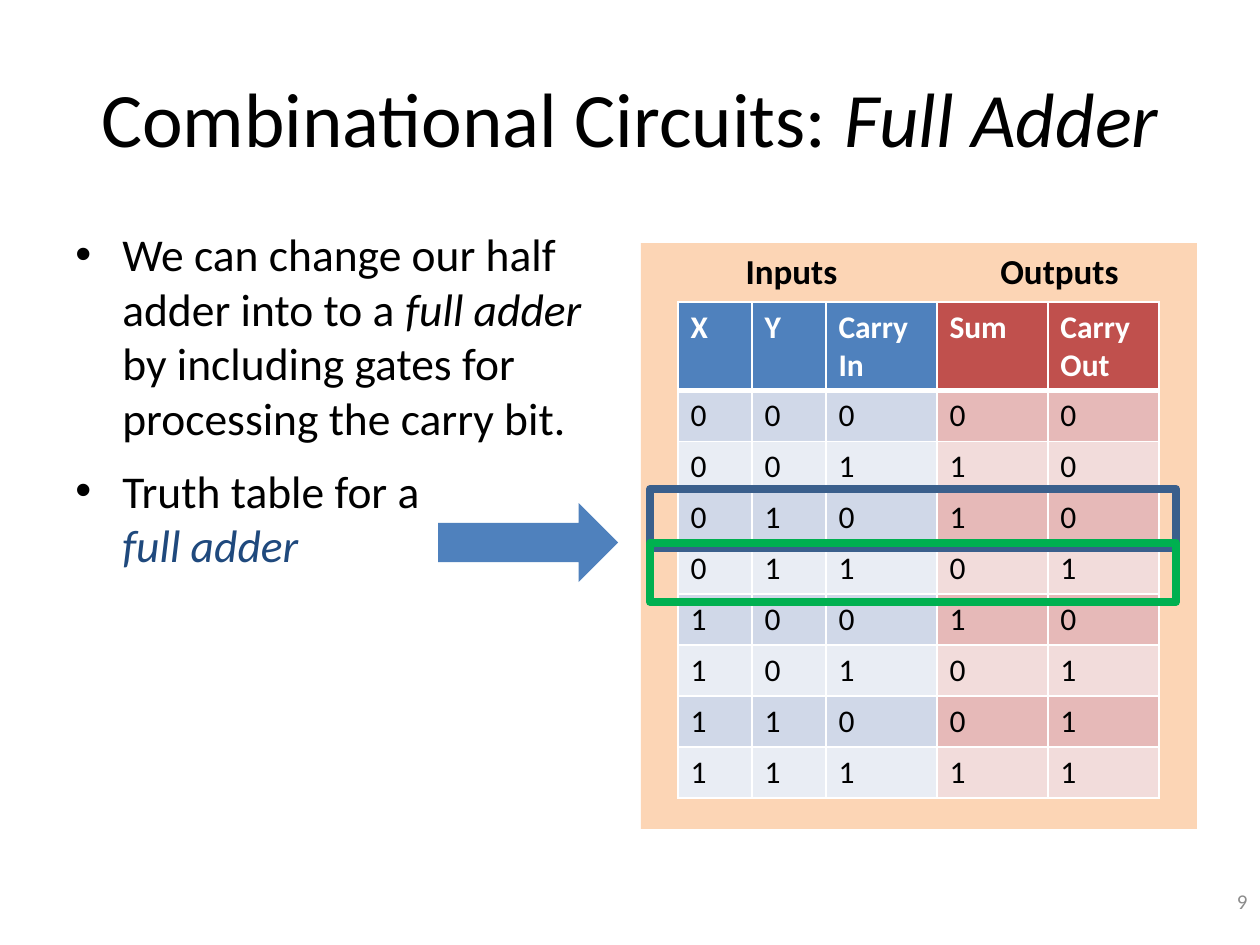
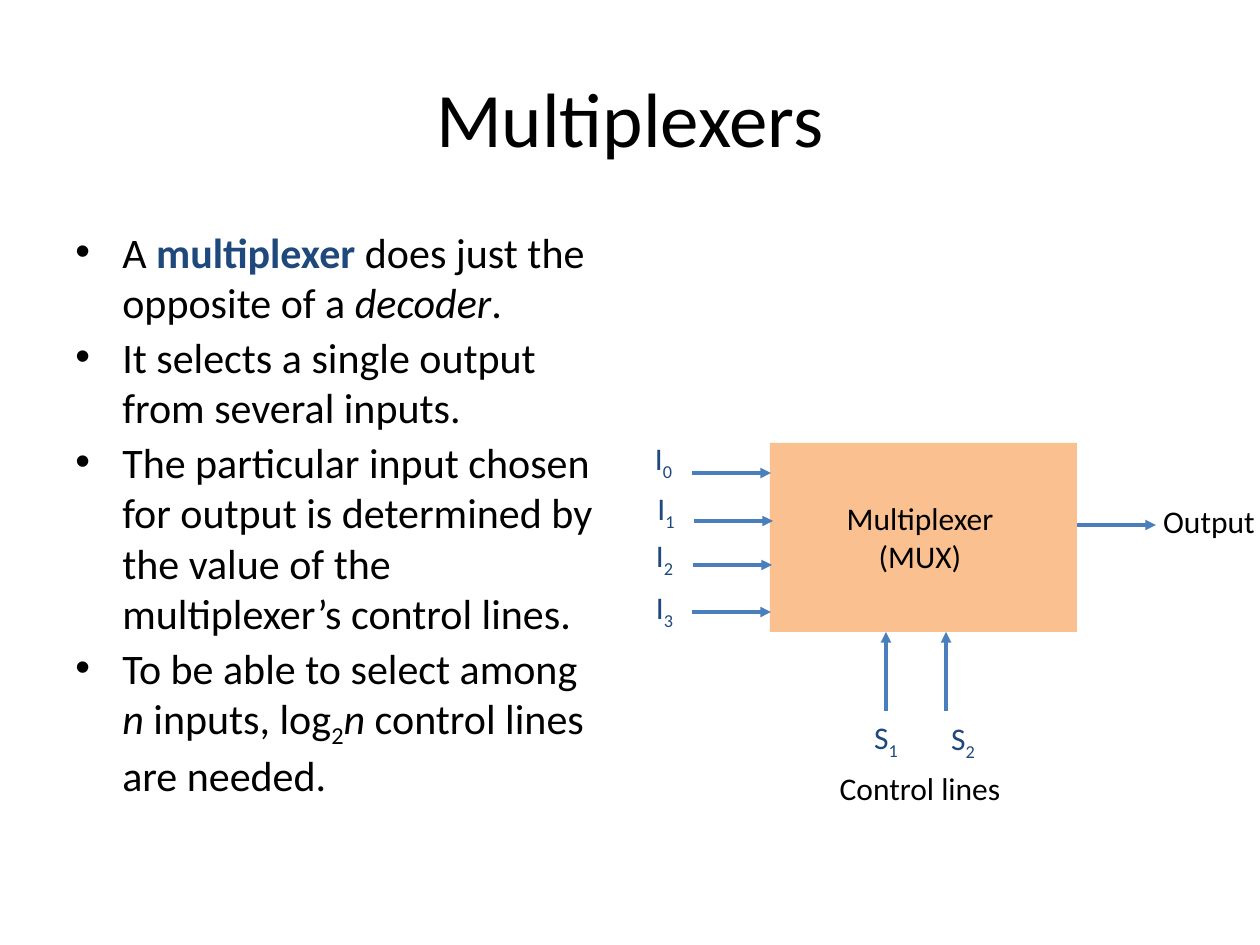
"""Build two slides on combinational circuits: the full adder and the multiplexer."""
import itertools

import pptx
import pptx.dml.color
import pptx.enum.shapes
import pptx.enum.text
import pptx.oxml
import pptx.oxml.ns
import pptx.util

RGB = pptx.dml.color.RGBColor
BLACK = RGB(0x00, 0x00, 0x00)
WHITE = RGB(0xFF, 0xFF, 0xFF)
GREY = RGB(0x8C, 0x8C, 0x8C)
NAVY = RGB(0x1F, 0x49, 0x7D)
BLUE = RGB(0x4F, 0x81, 0xBD)
RED = RGB(0xC0, 0x50, 0x4D)
WIRE_BLUE = RGB(0x4B, 0x7E, 0xBC)
FRAME_BLUE = RGB(0x3A, 0x5F, 0x8C)
FRAME_GREEN = RGB(0x00, 0xB0, 0x50)
PEACH = RGB(0xFC, 0xD5, 0xB5)
ORANGE = RGB(0xFA, 0xC0, 0x90)
INPUT_BANDS = (RGB(0xD0, 0xD8, 0xE8), RGB(0xE9, 0xED, 0xF4))
OUTPUT_BANDS = (RGB(0xE6, 0xB9, 0xB8), RGB(0xF2, 0xDC, 0xDB))

FONT = "Calibri"
PX = 914400 / 126
SLIDE_SIZE = (1260, 945)
TITLE_BOX = (63, 38, 1134, 158)
BODY_BOX = (63, 220, 557, 624)
NUMBER_BOX = (966, 876, 294, 50)
ADDER_BOX = (641, 243, 556, 586)
MUX_BOX = (770, 443, 307, 189)

SHAPES = pptx.enum.shapes.MSO_SHAPE
ALIGN = pptx.enum.text.PP_ALIGN
ANCHOR = pptx.enum.text.MSO_ANCHOR
ITALIC = {"italic": True}
SUBSCRIPT = {"baseline": -25000}


def emu(*lengths):
    """Turn px lengths into EMU."""
    return [round(length * PX) for length in lengths]


def write_runs(paragraph, runs, size, color=BLACK, **base):
    """Write (text, format) runs, breaking lines at each newline."""
    for text, extra in runs:
        for index, line in enumerate(text.split("\n")):
            if index:
                paragraph.add_line_break()
            if not line:
                continue
            run = paragraph.add_run()
            run.text = line
            look = {"name": FONT, "size": pptx.util.Pt(size), "color": color, **base, **extra}
            run.font.color.rgb = look.pop("color")
            baseline = look.pop("baseline", None)
            if baseline:
                run._r.get_or_add_rPr().set("baseline", str(baseline))
            for name, value in look.items():
                setattr(run.font, name, value)


def add_label(shapes, box, runs, size, align=ALIGN.CENTER, anchor=ANCHOR.TOP, **base):
    """Add a one-paragraph text box."""
    frame = shapes.add_textbox(*emu(*box)).text_frame
    frame.word_wrap = True
    frame.vertical_anchor = anchor
    frame.paragraphs[0].alignment = align
    write_runs(frame.paragraphs[0], runs, size, **base)


def add_block(shapes, kind, box, fill=None, outline=None):
    """Add a plain preset shape with a fill or an outline."""
    block = shapes.add_shape(kind, *emu(*box))
    block.shadow.inherit = False
    if fill:
        block.fill.solid()
        block.fill.fore_color.rgb = fill
    else:
        block.fill.background()
    if outline:
        block.line.color.rgb = outline
        block.line.width = pptx.util.Pt(4.5)
    else:
        block.line.fill.background()


def add_wire(shapes, start, end):
    """Add a straight arrow from start to end."""
    wire = shapes.add_connector(pptx.enum.shapes.MSO_CONNECTOR.STRAIGHT, *emu(*start, *end))
    wire.line.color.rgb = WIRE_BLUE
    wire.line.width = pptx.util.Pt(2)
    head = pptx.oxml.parse_xml(f'<a:tailEnd {pptx.oxml.ns.nsdecls("a")} type="triangle"/>')
    wire.line._get_or_add_ln().append(head)
    wire._element.spPr.append(pptx.oxml.parse_xml(f'<a:effectLst {pptx.oxml.ns.nsdecls("a")}/>'))


def add_title(slide, runs):
    """Add the slide title."""
    add_label(slide.shapes, TITLE_BOX, runs, 44, anchor=ANCHOR.MIDDLE)


def add_bullets(slide, bullets, size, gap):
    """Add the bulleted body; gap is the space before as a share of the text size."""
    frame = slide.shapes.add_textbox(*emu(*BODY_BOX)).text_frame
    frame.word_wrap = True
    hang, = emu(47)
    for index, runs in enumerate(bullets):
        paragraph = frame.add_paragraph() if index else frame.paragraphs[0]
        properties = paragraph._p.get_or_add_pPr()
        properties.set("marL", str(hang))
        properties.set("indent", str(-hang))
        for mark in ('buFont {} typeface="Arial"', 'buChar {} char="•"'):
            tag = mark.format(pptx.oxml.ns.nsdecls("a"))
            properties.append(pptx.oxml.parse_xml(f"<a:{tag}/>"))
        paragraph.space_before = pptx.util.Pt(size * gap)
        write_runs(paragraph, runs, size)


def add_borders(cell, top, bottom):
    """Give a cell white borders of the given top and bottom widths in points."""
    widths = {"L": 1, "R": 1, "T": top, "B": bottom}
    for index, (side, width) in enumerate(widths.items()):
        cell._tc.get_or_add_tcPr().insert(index, pptx.oxml.parse_xml(
            f'<a:ln{side} {pptx.oxml.ns.nsdecls("a")} w="{width * 12700}">'
            f'<a:solidFill><a:srgbClr val="{WHITE}"/></a:solidFill></a:ln{side}>'))


def add_truth_table(slide, left, top):
    """Add the truth table of a full adder."""
    header = ("X", "Y", "Carry\nIn", "Sum", "Carry\nOut")
    columns, heights = (74, 74, 111, 111, 111), (88, *[51] * 8)
    rows = [header]
    for bits in itertools.product((0, 1), repeat=3):
        rows.append((*bits, sum(bits) % 2, sum(bits) // 2))
    box = emu(left, top, sum(columns), sum(heights))
    table = slide.shapes.add_table(len(rows), len(columns), *box).table
    table.horz_banding = False
    for column, width in zip(table.columns, emu(*columns)):
        column.width = width
    for row, height in zip(table.rows, emu(*heights)):
        row.height = height
    for r, row in enumerate(rows):
        for c, value in enumerate(row):
            cell = table.cell(r, c)
            bands = INPUT_BANDS if c < 3 else OUTPUT_BANDS
            head_fill = BLUE if c < 3 else RED
            cell.fill.solid()
            cell.fill.fore_color.rgb = bands[(r - 1) % 2] if r else head_fill
            add_borders(cell, 3 if r == 1 else 1, 1 if r else 3)
            for index, line in enumerate(str(value).split("\n")):
                frame = cell.text_frame
                paragraph = frame.add_paragraph() if index else frame.paragraphs[0]
                write_runs(paragraph, [(line, {})], 18, BLACK if r else WHITE, bold=not r)


def draw_adder_panel(slide, box):
    """Draw the truth table panel, the arrow to it and its framed rows."""
    left, top, _, _ = box
    add_block(slide.shapes, SHAPES.RECTANGLE, box, PEACH)
    add_truth_table(slide, left + 37, top + 59)
    add_block(slide.shapes, SHAPES.RIGHT_ARROW, (left - 203, top + 260, 180, 79), BLUE)
    for heading, x in (("Inputs", 66), ("Outputs", 334)):
        add_label(slide.shapes, (left + x, top, 169, 55), [(heading, {})], 20, bold=True)
    for outline, y in ((FRAME_BLUE, 246), (FRAME_GREEN, 300)):
        add_block(slide.shapes, SHAPES.RECTANGLE, (left + 9, top + y, 526, 59), outline=outline)


def draw_multiplexer(slide, box):
    """Draw the multiplexer with its inputs, output and control lines."""
    left, top, width, height = box
    shapes = slide.shapes.add_group_shape().shapes
    wire = 79
    add_block(shapes, SHAPES.RECTANGLE, box, ORANGE)
    captions = (("Multiplexer\n(MUX)", 21, 50, 89), ("Output", 310, 53, 50),
                ("Control lines", 21, 320, 50))
    for caption, x, y, tall in captions:
        add_label(shapes, (left + x, top + y, 258, tall), [(caption, {})], 18)
    add_wire(shapes, (left + width, top + 82), (left + width + wire, top + 82))

    inputs = ((-78, 30, -153, -10, 93), (-76, 78, -141, 40, 74),
              (-77, 122, -146, 87, 81), (-78, 169, -146, 139, 81))
    for number, (x, y, label_x, label_y, label_width) in enumerate(inputs):
        add_wire(shapes, (left + x, top + y), (left + x + wire, top + y))
        add_label(shapes, (left + label_x, top + label_y, label_width, 50),
                  [("I", {}), (str(number), SUBSCRIPT)], 18, color=NAVY)

    bottom = top + height
    for number, (x, label_x) in enumerate(((116, -13), (176, 64)), start=1):
        add_wire(shapes, (left + x, bottom + wire), (left + x, bottom))
        add_label(shapes, (left + label_x, bottom + wire + number, 258, 50),
                  [("S", {}), (str(number), SUBSCRIPT)], 18, color=NAVY)


def build_full_adder(slide):
    """Build the full adder slide."""
    add_title(slide, [("Combinational Circuits: ", {}), ("Full Adder", ITALIC)])
    add_bullets(slide, [
        [("We can change our half adder into to a ", {}), ("full adder", ITALIC),
         (" by including gates for processing the carry bit.", {})],
        [("Truth table for a\n", {}), ("full adder", {"italic": True, "color": NAVY})],
    ], 26, 0.4)
    draw_adder_panel(slide, ADDER_BOX)
    add_label(slide.shapes, NUMBER_BOX, [("9", {})], 12, ALIGN.RIGHT, ANCHOR.MIDDLE, color=GREY)


def build_multiplexers(slide):
    """Build the multiplexers slide."""
    add_title(slide, [("Multiplexers", {})])
    add_bullets(slide, [
        [("A ", {}), ("multiplexer", {"bold": True, "color": NAVY}),
         (" does just the opposite of a ", {}), ("decoder", ITALIC), (".", {})],
        [("It selects a single output from several inputs.", {})],
        [("The particular input chosen for output is determined by the value of the "
          "multiplexer’s control lines.", {})],
        [("To be able to select among ", {}), ("n", ITALIC), (" inputs, log", {}),
         ("2", SUBSCRIPT), ("n", ITALIC), (" control lines are needed.", {})],
    ], 24, 0.1)
    draw_multiplexer(slide, MUX_BOX)


def main():
    """Build and save the presentation."""
    deck = pptx.Presentation()
    deck.slide_width, deck.slide_height = emu(*SLIDE_SIZE)
    for build in (build_full_adder, build_multiplexers):
        build(deck.slides.add_slide(deck.slide_layouts[6]))
    deck.save("out.pptx")


if __name__ == "__main__":
    main()
